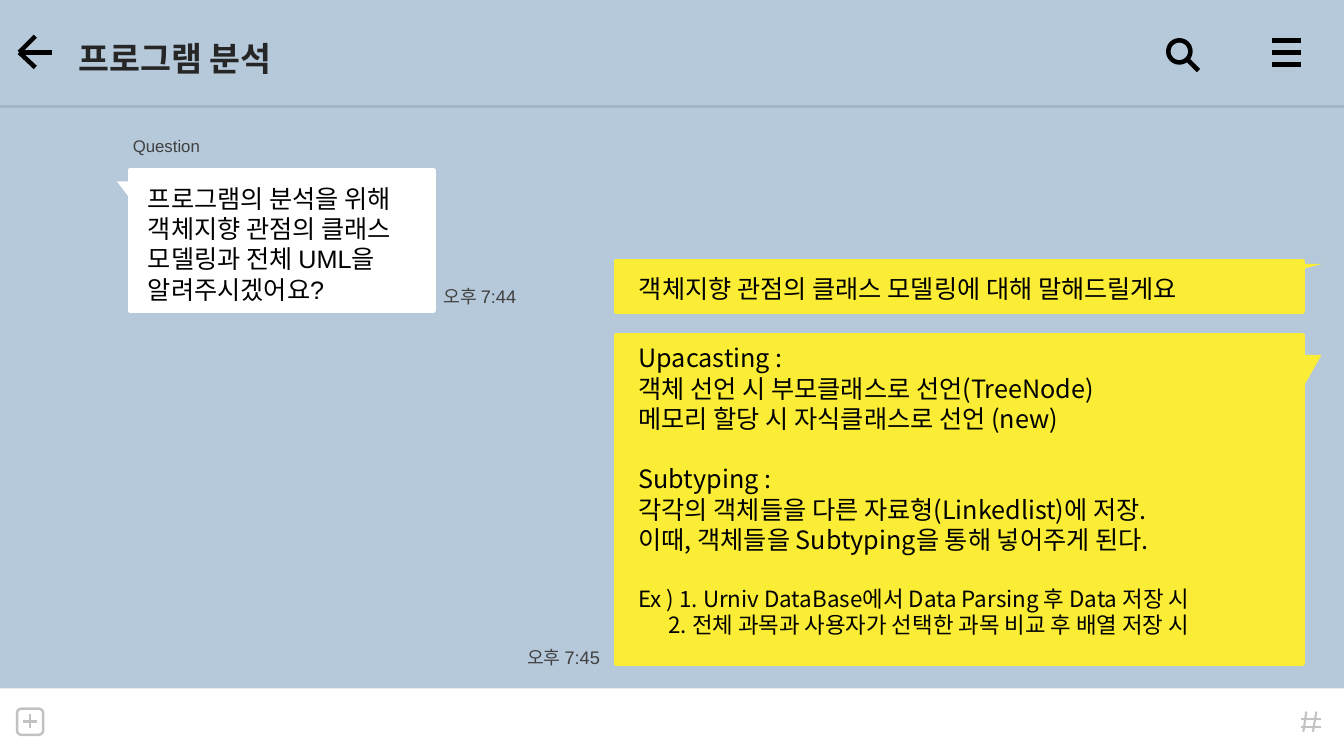
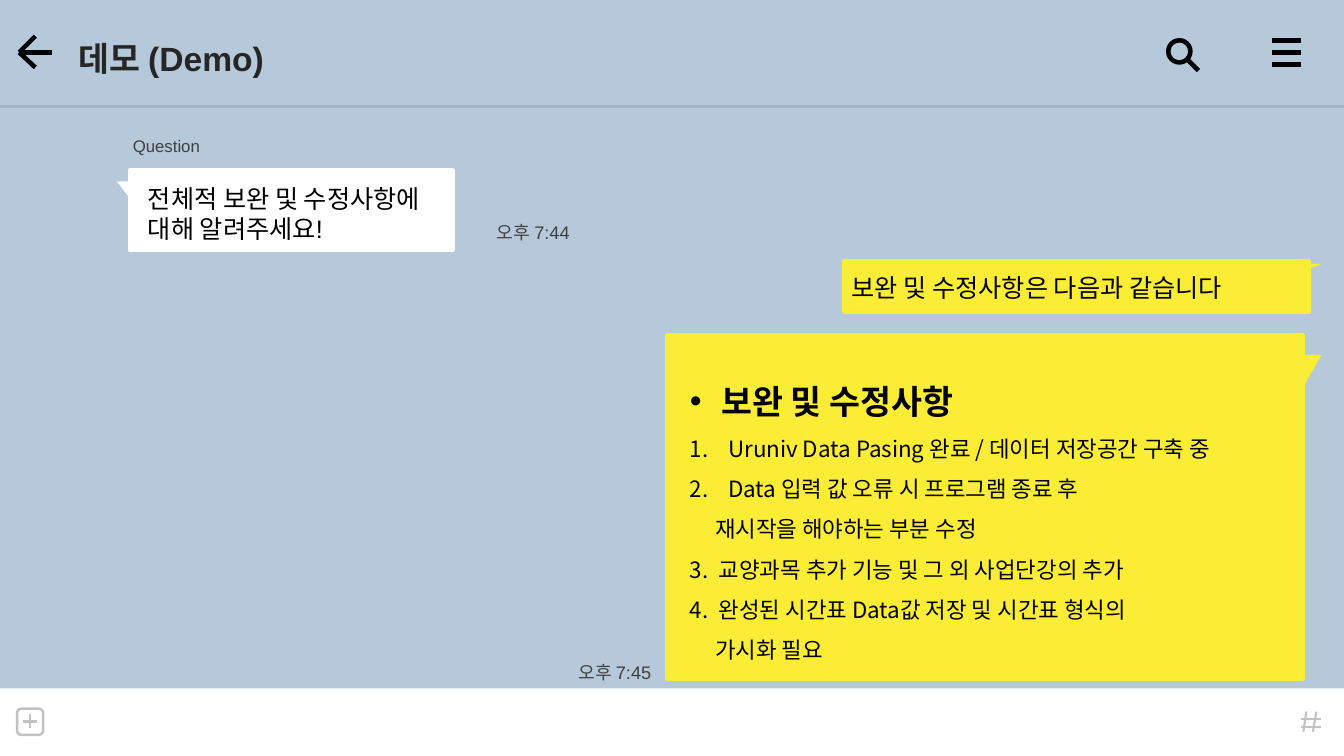
from dataclasses import dataclass

from lxml.etree import SubElement
from pptx import Presentation
from pptx.dml.color import RGBColor
from pptx.enum.shapes import MSO_CONNECTOR as Connector, MSO_SHAPE as Preset
from pptx.enum.text import MSO_ANCHOR as Anchor, MSO_AUTO_SIZE as AutoSize, PP_ALIGN as Align
from pptx.oxml.ns import qn
from pptx.util import Pt

SKY, RULE, WHITE, YELLOW = "B6C9DA", "A0B5C8", "FFFFFF", "FBED35"
BLACK, TITLE_INK, MUTED, ICON_GREY = "000000", "262626", "404040", "C2C2C2"
SANS, KOREAN = "Arial", "Noto Sans CJK KR"
WIDTH, HEIGHT = 960, 540
TAIL_TIP = 944
LINE_HEIGHT = 1.2


def rgb(value):
    """Turn a hex string into a colour."""
    return RGBColor.from_string(value)


@dataclass
class Entry:
    """One paragraph of a message, with its list mark and spacing."""
    text: str
    size: float = 18
    font: str = KOREAN
    bold: bool = False
    color: str = BLACK
    lines: float = 1
    indent: float = 0
    hanging: float = 0
    gap: float = 0
    bullet: str = ""
    number: int = 0


class ChatDeck:
    """Chat-screen style together with the slide being built."""

    def __init__(self):
        """Start a wide presentation with the shared background."""
        self.deck = Presentation()
        self.deck.slide_width, self.deck.slide_height = Pt(WIDTH), Pt(HEIGHT)
        background = self.deck.slide_master.background.fill
        background.solid()
        background.fore_color.rgb = rgb(SKY)
        self.slide = None

    def new_slide(self, title):
        """Add a slide with the header, title and input bar."""
        self.slide = self.deck.slides.add_slide(self.deck.slide_layouts[1])
        self.header()
        self.footer()
        self.placeholder(self.slide.shapes.title, (49, 23.8, 236, 36),
                         [Entry(title, 24, SANS, True, TITLE_INK)])

    def shape(self, preset, box, fill=None, line=None, weight=0, flip=()):
        """Draw a preset shape without shadow."""
        drawn = self.slide.shapes.add_shape(preset, *map(Pt, box))
        drawn.shadow.inherit = False
        if fill:
            drawn.fill.solid()
            drawn.fill.fore_color.rgb = rgb(fill)
        else:
            drawn.fill.background()
        if line:
            drawn.line.color.rgb = rgb(line)
            drawn.line.width = Pt(weight)
        else:
            drawn.line.fill.background()
        for direction in flip:
            drawn.element.spPr.get_or_add_xfrm().set(direction, "1")

    def stroke(self, start, end, color=BLACK, weight=3.25):
        """Draw a straight line between two points."""
        drawn = self.slide.shapes.add_connector(
            Connector.STRAIGHT, *map(Pt, (*start, *end)))
        drawn.line.color.rgb = rgb(color)
        drawn.line.width = Pt(weight)
        SubElement(drawn.element.spPr, qn("a:effectLst"))

    def header(self):
        """Draw the top band with back, search and menu icons."""
        self.shape(Preset.RECTANGLE, (-9, -2, 978, 78.3), SKY, RULE, 2)
        for tip in ((37.4, 37.4), (25.2, 25.9), (25.2, 48.2)):
            self.stroke((13.7, 37.4), tip)
        self.shape(Preset.OVAL, (834.5, 28.8, 15.8, 15.8), line=BLACK, weight=3.25)
        self.stroke((848.2, 42.5), (856.1, 50.4))
        for row in range(3):
            y = 28.8 + 8.64 * row
            self.stroke((908.6, y), (929.5, y))

    def footer(self):
        """Draw the input bar with plus and hash icons."""
        self.shape(Preset.RECTANGLE, (0, 491.8, WIDTH, HEIGHT - 491.8), WHITE)
        for top, bottom in ((933.1, 931), (940.3, 937.8)):
            self.stroke((top, 508.3), (bottom, 522.7), ICON_GREY, 1.5)
        for y in (513.4, 519.1):
            self.stroke((929.5, y), (943.9, y), ICON_GREY, 1.5)
        self.shape(Preset.ROUNDED_RECTANGLE, (12.2, 506.2, 18.7, 18.7),
                   line=ICON_GREY, weight=1.75)
        x, y, reach = 21.6, 515.2, 5
        self.stroke((x - reach, y), (x + reach, y), ICON_GREY, 1.75)
        self.stroke((x, y - reach), (x, y + reach), ICON_GREY, 1.75)

    def fill_text(self, frame, entries):
        """Fill a text frame with formatted paragraphs."""
        frame.word_wrap = True
        frame.auto_size = AutoSize.NONE
        frame.vertical_anchor = Anchor.TOP
        frame.margin_right = 0
        frame.text = "\n".join(entry.text for entry in entries)
        for paragraph, entry in zip(frame.paragraphs, entries):
            self.style_entry(paragraph, entry)

    def style_entry(self, paragraph, entry):
        """Apply the entry's font, spacing and list mark."""
        paragraph.alignment = Align.LEFT
        paragraph.line_spacing = Pt(entry.size * LINE_HEIGHT * entry.lines)
        paragraph.space_before = Pt(entry.gap)
        for run in paragraph.runs:
            run.font.name = entry.font
            run.font.size = Pt(entry.size)
            run.font.bold = entry.bold
            run.font.color.rgb = rgb(entry.color)
        properties = paragraph._p.get_or_add_pPr()
        properties.set("marL", str(Pt(entry.indent + entry.hanging)))
        properties.set("indent", str(-Pt(entry.hanging)))
        if entry.bullet:
            SubElement(properties, qn("a:buChar"), char=entry.bullet)
        elif entry.number:
            SubElement(properties, qn("a:buFont"), typeface=entry.font)
            SubElement(properties, qn("a:buAutoNum"), type="arabicPeriod",
                       startAt=str(entry.number))
        else:
            SubElement(properties, qn("a:buNone"))

    def text(self, box, entries):
        """Add a text box."""
        label = self.slide.shapes.add_textbox(*map(Pt, box))
        self.fill_text(label.text_frame, entries)

    def placeholder(self, holder, box, entries):
        """Move a placeholder to the front and fill it."""
        holder.left, holder.top, holder.width, holder.height = map(Pt, box)
        holder.element.getparent().append(holder.element)
        self.fill_text(holder.text_frame, entries)

    def time(self, left, top, clock):
        """Add the time beside a message."""
        self.text((left, top, 70.6, 23), [Entry(clock, 13, SANS, color=MUTED)])

    def question(self, width, height, lines):
        """Add the white message on the left."""
        self.text((87.8, 93.6, 105, 21.6), [Entry("Question", 12, SANS, color=MUTED)])
        self.shape(Preset.RECTANGLE, (92.9, 121.7, width, height), WHITE, WHITE, 3.25)
        self.shape(Preset.RIGHT_TRIANGLE, (83.5, 129.6, 10, 13), WHITE,
                   flip=("flipH", "flipV"))
        self.text((98.6, 127.4, width, height - 5.7),
                  [Entry(line, font=SANS) for line in lines])

    def answer(self, box, tail_top, tail_height):
        """Add a yellow bubble with its tail on the right."""
        left, _, width, _ = box
        right = left + width
        self.shape(Preset.RECTANGLE, box, YELLOW, YELLOW, 3.25)
        self.shape(Preset.RIGHT_TRIANGLE,
                   (right, tail_top, TAIL_TIP - right, tail_height), YELLOW,
                   flip=("flipV",))

    def reply(self, left, right, text_left, text_top, line):
        """Add the short yellow message."""
        self.answer((left, 186.5, right - left, 36), 188.6, 3.6)
        self.text((text_left, text_top, right - text_left, 28.8), [Entry(line, font=SANS)])

    def details(self, left, height, text_top, entries):
        """Add the long yellow message in the body placeholder."""
        right, top = 930.4, 239.8
        self.answer((left, top, right - left, height), 253.5, 24)
        text_left = left + 9
        self.placeholder(self.slide.placeholders[1],
                         (text_left, text_top, right - text_left, top + height - text_top),
                         entries)

    def save(self):
        """Save the presentation."""
        self.deck.save("out.pptx")


def analysis_slide(chat):
    """Build the program analysis slide."""
    chat.new_slide("프로그램 분석")
    chat.question(216.7, 100, ["프로그램의 분석을 위해", "객체지향 관점의 클래스",
                               "모델링과 전체 UML을", "알려주시겠어요?"])
    chat.time(309.6, 200.2, "오후 7:44")
    chat.reply(439.9, 930.4, 449.3, 191.5,
               "객체지향 관점의 클래스 모델링에 대해 말해드릴게요")
    chat.details(439.9, 234, 241.2, [
        Entry("Upacasting :"),
        Entry("객체 선언 시 부모클래스로 선언(TreeNode)"),
        Entry("메모리 할당 시 자식클래스로 선언 (new)"),
        Entry("Subtyping :", gap=21.6),
        Entry("각각의 객체들을 다른 자료형(Linkedlist)에 저장."),
        Entry("이때, 객체들을 Subtyping을 통해 넣어주게 된다."),
        Entry("Ex ) 1. Urniv DataBase에서 Data Parsing 후 Data 저장 시", 16, gap=21.6),
        Entry("2. 전체 과목과 사용자가 선택한 과목 비교 후 배열 저장 시", 16, indent=21.4),
    ])
    chat.time(369.4, 457.9, "오후 7:45")


def demo_slide(chat):
    """Build the demo slide."""
    chat.new_slide("데모 (Demo)")
    chat.question(230.4, 56.9, ["전체적 보완 및 수정사항에", "대해 알려주세요!"])
    chat.time(347.8, 154.8, "오후 7:44")
    chat.reply(603.4, 934.6, 601.2, 190.8, "보완 및 수정사항은 다음과 같습니다")
    wide, narrow, continued = 27.4, 20.7, 18
    chat.details(476.6, 244.8, 254.2, [
        Entry("보완 및 수정사항", 24, SANS, True, lines=1.5, hanging=22.5, bullet="•"),
        Entry("Uruniv Data Pasing 완료 / 데이터 저장공간 구축 중", 16, lines=1.5,
              hanging=wide, number=1),
        Entry("Data 입력 값 오류 시 프로그램 종료 후", 16, lines=1.5,
              hanging=wide, number=2),
        Entry("재시작을 해야하는 부분 수정", 16, lines=1.5, indent=continued),
        Entry("교양과목 추가 기능 및 그 외 사업단강의 추가", 16, lines=1.5,
              hanging=narrow, number=3),
        Entry("완성된 시간표 Data값 저장 및 시간표 형식의", 16, lines=1.5,
              hanging=narrow, number=4),
        Entry("가시화 필요", 16, lines=1.5, indent=continued),
    ])
    chat.time(406.1, 468.7, "오후 7:45")


def main():
    """Build and save both slides."""
    chat = ChatDeck()
    analysis_slide(chat)
    demo_slide(chat)
    chat.save()


if __name__ == "__main__":
    main()
